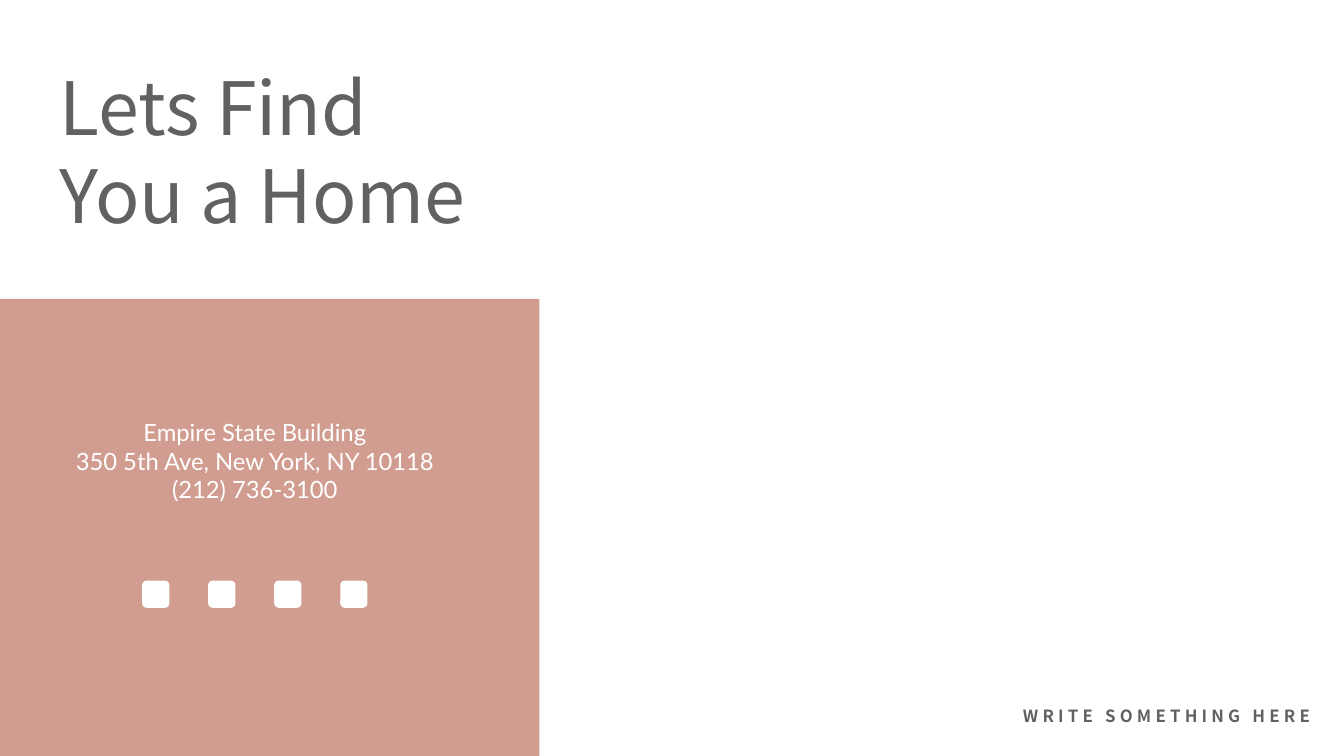
import pptx
import pptx.dml.color
import pptx.enum.shapes
import pptx.enum.text
import pptx.util

Inches = pptx.util.Inches
Pt = pptx.util.Pt
RGBColor = pptx.dml.color.RGBColor
MSO_SHAPE = pptx.enum.shapes.MSO_SHAPE
PP_ALIGN = pptx.enum.text.PP_ALIGN

PAPER = RGBColor(0xFE, 0xFF, 0xFF)
GREY = RGBColor(0x61, 0x61, 0x61)
ROSE = RGBColor(0xD2, 0x9D, 0x91)
WHITE = RGBColor(0xFF, 0xFF, 0xFF)

HEADING_FONT = "Noto Sans CJK SC"
BODY_FONT = "Lato"


class ContactSlide:
    def __init__(self, deck):
        self.slide = deck.slides.add_slide(deck.slide_layouts[5])
        background = self.slide.background.fill
        background.solid()
        background.fore_color.rgb = PAPER

    def set_lines(self, holder, lines, font, color, paragraph, frame):
        text_frame = holder.text_frame
        frame_format = {
            "auto_size": pptx.enum.text.MSO_AUTO_SIZE.NONE,
            "vertical_anchor": pptx.enum.text.MSO_ANCHOR.TOP,
            "word_wrap": True,
            **frame,
        }
        for name, value in frame_format.items():
            setattr(text_frame, name, value)
        text_frame.text = "\n".join(lines)
        for line in text_frame.paragraphs:
            for name, value in paragraph.items():
                setattr(line, name, value)
            for run in line.runs:
                for name, value in font.items():
                    setattr(run.font, name, value)
                run.font.color.rgb = color

    def title(self, box, lines, font, color, paragraph, frame):
        heading = self.slide.shapes.title
        for name, value in zip(("left", "top", "width", "height"), box):
            setattr(heading, name, Inches(value))
        self.set_lines(heading, lines, font, color, paragraph, frame)

    def text(self, box, lines, font, color, paragraph, frame, spacing=0):
        label = self.slide.shapes.add_textbox(*map(Inches, box))
        self.set_lines(label, lines, font, color, paragraph, frame)
        if spacing:
            for line in label.text_frame.paragraphs:
                for run in line.runs:
                    run._r.get_or_add_rPr().set("spc", str(spacing * 100))

    def shape(self, kind, box, color):
        block = self.slide.shapes.add_shape(kind, *map(Inches, box))
        block.shadow.inherit = False
        block.fill.solid()
        block.fill.fore_color.rgb = color
        block.line.fill.background()


def main():
    deck = pptx.Presentation()
    deck.slide_width = Inches(26.66)
    deck.slide_height = Inches(15)
    contact = ContactSlide(deck)

    contact.title(
        (1.08, 1.06, 9.09, 3.72),
        ["Lets Find", "You a Home"],
        {"name": HEADING_FONT, "size": Pt(105)},
        GREY,
        {"alignment": PP_ALIGN.LEFT, "line_spacing": Pt(126)},
        {"margin_top": Inches(0.17)},
    )

    contact.shape(MSO_SHAPE.RECTANGLE, (0, 5.93, 10.7, 9.07), ROSE)

    icon_size, icon_pitch = 0.54, 1.31
    for place in range(4):
        left = 2.82 + place * icon_pitch
        contact.shape(MSO_SHAPE.ROUNDED_RECTANGLE, (left, 11.52, icon_size, icon_size), WHITE)

    contact.text(
        (1.01, 8.24, 8.09, 1.82),
        ["Empire State Building", "350 5th Ave, New York, NY 10118", "(212) 736-3100"],
        {"name": BODY_FONT, "size": Pt(34)},
        WHITE,
        {"alignment": PP_ALIGN.CENTER},
        {},
    )

    contact.text(
        (20.19, 13.96, 5.9, 0.5),
        ["WRITE SOMETHING HERE"],
        {"name": HEADING_FONT, "size": Pt(24), "bold": True},
        GREY,
        {"alignment": PP_ALIGN.CENTER, "line_spacing": Pt(29)},
        {"word_wrap": False},
        spacing=6,
    )

    deck.save("out.pptx")


if __name__ == "__main__":
    main()
